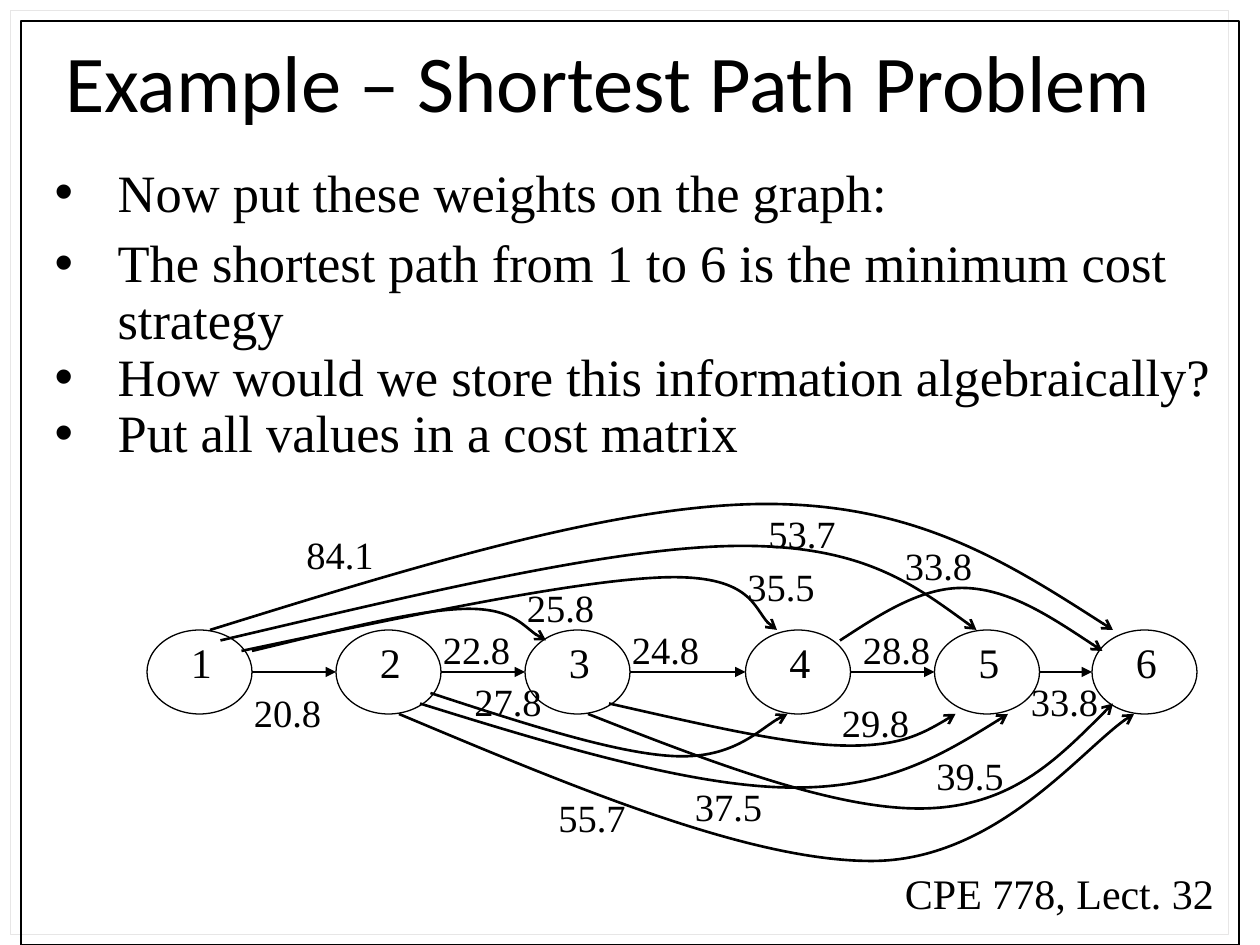
"""Build a slide showing the shortest path problem as a weighted graph."""
from itertools import pairwise

from lxml.etree import SubElement
from pptx import Presentation
from pptx.dml.color import RGBColor as RGB
from pptx.enum.shapes import MSO_CONNECTOR as CONN, MSO_SHAPE as SHAPE
from pptx.enum.text import MSO_ANCHOR as ANCHOR, MSO_AUTO_SIZE as AUTO, PP_ALIGN as ALIGN
from pptx.oxml.ns import qn
from pptx.util import Pt

THEME = {
    "ink": RGB(0, 0, 0), "shadow": "E7E6E6",
    "head": "Calibri", "body": "Times New Roman",
    "title": 46, "list": 30, "node": 24, "weight": 22,
    "thin": 0.75, "thick": 1.5,
}


def write(shape, box, lines, size, font=THEME["body"], wrap=True, auto=AUTO.SHAPE_TO_FIT_TEXT,
          anchor=ANCHOR.TOP, **para):
    tf = shape.text_frame
    tf.text = "\n".join(lines)
    for name, value in {"word_wrap": wrap, "auto_size": auto, "vertical_anchor": anchor}.items():
        setattr(tf, name, value)
    for name, value in zip(("left", "top", "width", "height"), box):
        setattr(shape, name, Pt(value))
    for p in tf.paragraphs:
        for name, value in para.items():
            setattr(p, name, value)
        r = p.runs[0]
        r.font.color.rgb = THEME["ink"]
        for name, value in {"size": Pt(size), "name": font}.items():
            setattr(r.font, name, value)


def outline(shape, width, arrow=None):
    shape.line.color.rgb = THEME["ink"]
    shape.line.width = Pt(width)
    if arrow:
        SubElement(shape.line._get_or_add_ln(), qn("a:tailEnd"), type=arrow)
    if hasattr(shape, "fill"):
        shape.fill.background()
        shape.shadow.inherit = False
    else:
        SubElement(shape._element.spPr, qn("a:effectLst"))


prs = Presentation()
prs.slide_width, prs.slide_height = Pt(720), Pt(540)
s = prs.slides.add_slide(prs.slide_layouts[3])
title, first, rest = s.placeholders

write(title, (30, 6, 660, 90), ["Example – Shortest Path Problem"], THEME["title"],
      THEME["head"], auto=AUTO.NONE, anchor=ANCHOR.MIDDLE, line_spacing=0.8, alignment=ALIGN.LEFT)

LISTS = [
    (first, (24, 84, 666, 46.8), 1.1, ["Now put these weights on the graph:"]),
    (rest, (24, 132, 678, 136.8), 0.9, [
        "The shortest path from 1 to 6 is the minimum cost strategy",
        "How would we store this information algebraically?",
        "Put all values in a cost matrix",
    ]),
]
for body, box, spacing, lines in LISTS:
    write(body, box, lines, THEME["list"], line_spacing=spacing, space_before=Pt(0))
    for p in body.text_frame.paragraphs:
        pPr = p._p.get_or_add_pPr()
        pPr.set("marL", str(Pt(36)))
        pPr.set("indent", str(-Pt(36)))
        SubElement(pPr, qn("a:buChar"), char="•")

frame = s.shapes.add_shape(SHAPE.RECTANGLE, Pt(12), Pt(12), Pt(696), Pt(528))
outline(frame, THEME["thin"])
effects = frame._element.spPr.find(qn("a:effectLst"))
shadow = SubElement(effects, qn("a:outerShdw"), dist=str(Pt(8.5)), dir=str(225 * 60000))
SubElement(shadow, qn("a:srgbClr"), val=THEME["shadow"])

footer = s.shapes.add_textbox(0, 0, 0, 0)
write(footer, (510, 492, 190.8, 36), ["CPE 778, Lect. 32"], THEME["node"], wrap=False)

NODE_X = [84, 192, 300, 426, 534, 624]
NODE_Y, NODE_W, NODE_H = 360, 60, 48
graph = s.shapes.add_group_shape().shapes
for number, x in enumerate(NODE_X, 1):
    node = graph.add_shape(SHAPE.OVAL, Pt(x), Pt(NODE_Y), Pt(NODE_W), Pt(NODE_H))
    outline(node, THEME["thin"])
    label = graph.add_textbox(0, 0, 0, 0)
    write(label, (x + 18, NODE_Y, 26.6, 36), [str(number)], THEME["node"], wrap=False)

CURVES = [
    [(120, 360), (236, 324), (352, 288), (438, 288), (524, 288), (580, 324), (636, 360)],
    [(126, 366), (237, 340), (348, 313), (420, 312), (492, 311), (525, 336), (558, 360)],
    [(138, 372), (233, 352), (327, 332), (378, 330), (429, 328), (433, 355), (444, 360)],
    [(144, 372), (190, 361), (236, 349), (264, 348), (292, 347), (304, 363), (312, 366)],
    [(228, 408), (328, 450), (428, 492), (498, 492), (568, 492), (623, 422), (648, 408)],
    [(240, 402), (317, 426), (394, 449), (450, 450), (506, 451), (541, 430), (576, 408)],
    [(246, 396), (298, 413), (350, 430), (384, 432), (418, 434), (439, 412), (450, 408)],
    [(336, 408), (407, 436), (478, 463), (528, 462), (578, 461), (607, 431), (636, 402)],
    [(348, 402), (397, 413), (447, 425), (480, 426), (513, 427), (530, 418), (546, 408)],
    [(480, 366), (503, 351), (527, 335), (552, 336), (577, 337), (603, 354), (630, 372)],
]
for points in CURVES:
    start, *others = [(Pt(x), Pt(y)) for x, y in points]
    builder = graph.build_freeform(*start)
    builder.add_line_segments(others, close=False)
    curve = builder.convert_to_shape()
    outline(curve, THEME["thick"], "arrow")
    segments = list(curve._element.iter(qn("a:lnTo")))
    outline_path = segments[0].getparent()
    for i in range(0, len(segments), 3):
        bezier = SubElement(outline_path, qn("a:cubicBezTo"))
        for segment in segments[i:i + 3]:
            bezier.append(segment[0])
            outline_path.remove(segment)

for x1, x2 in pairwise(NODE_X):
    y = Pt(NODE_Y + NODE_H / 2)
    arrow = graph.add_connector(CONN.STRAIGHT, Pt(x1 + NODE_W), y, Pt(x2), y)
    outline(arrow, THEME["thick"], "triangle")

WEIGHTS = [
    ("84.1", 168, 300), ("53.7", 432, 288), ("35.5", 420, 318), ("25.8", 294, 330),
    ("20.8", 138, 390), ("22.8", 246, 354), ("24.8", 354, 354), ("28.8", 486, 354),
    ("33.8", 582, 384), ("33.8", 510, 306), ("55.7", 312, 450), ("37.5", 390, 444),
    ("27.8", 264, 384), ("39.5", 528, 426), ("29.8", 474, 396),
]
weights = s.shapes.add_group_shape().shapes
for text, x, y in WEIGHTS:
    write(weights.add_textbox(0, 0, 0, 0), (x, y, 53.3, 33.8), [text], THEME["weight"], wrap=False)

prs.save("out.pptx")
